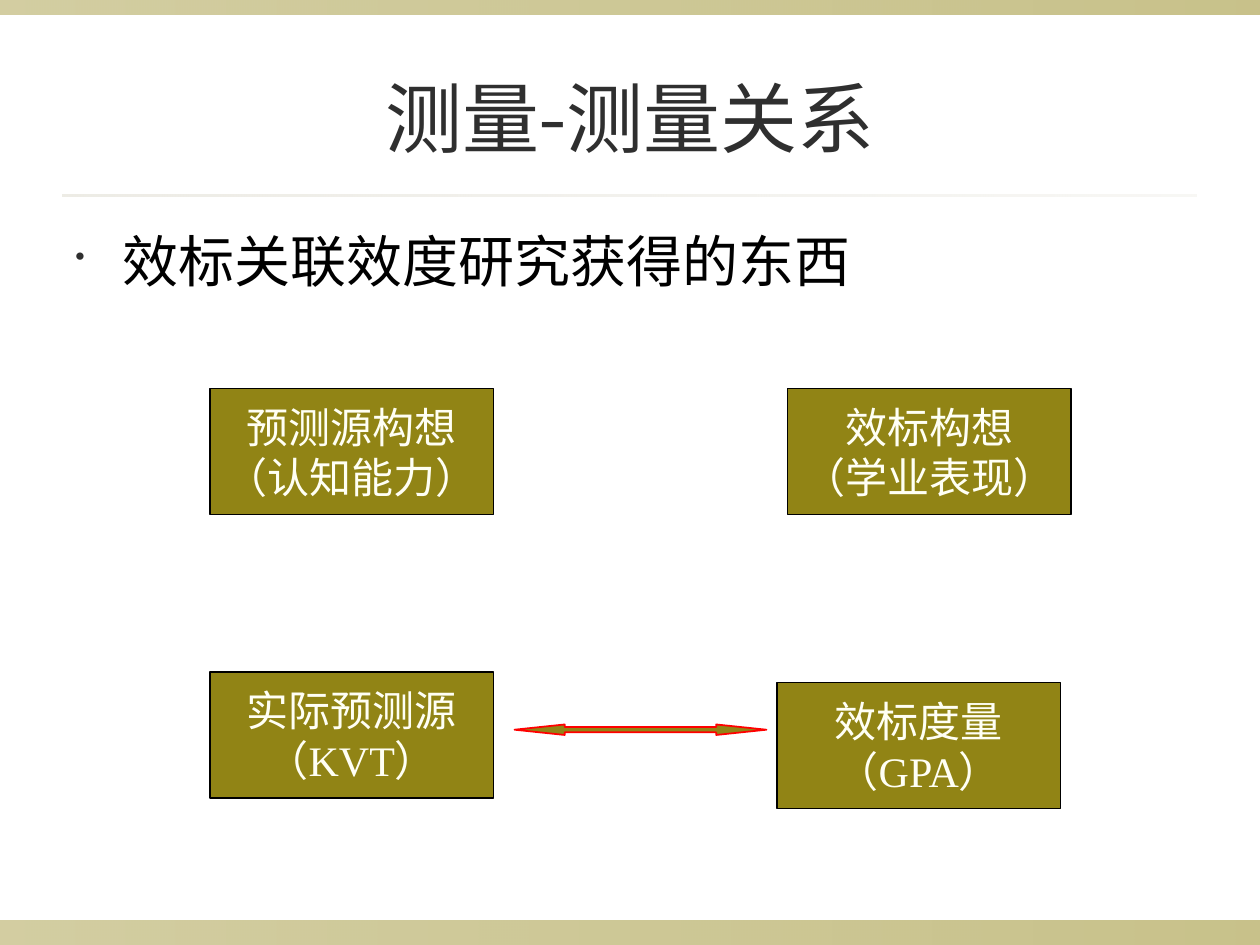
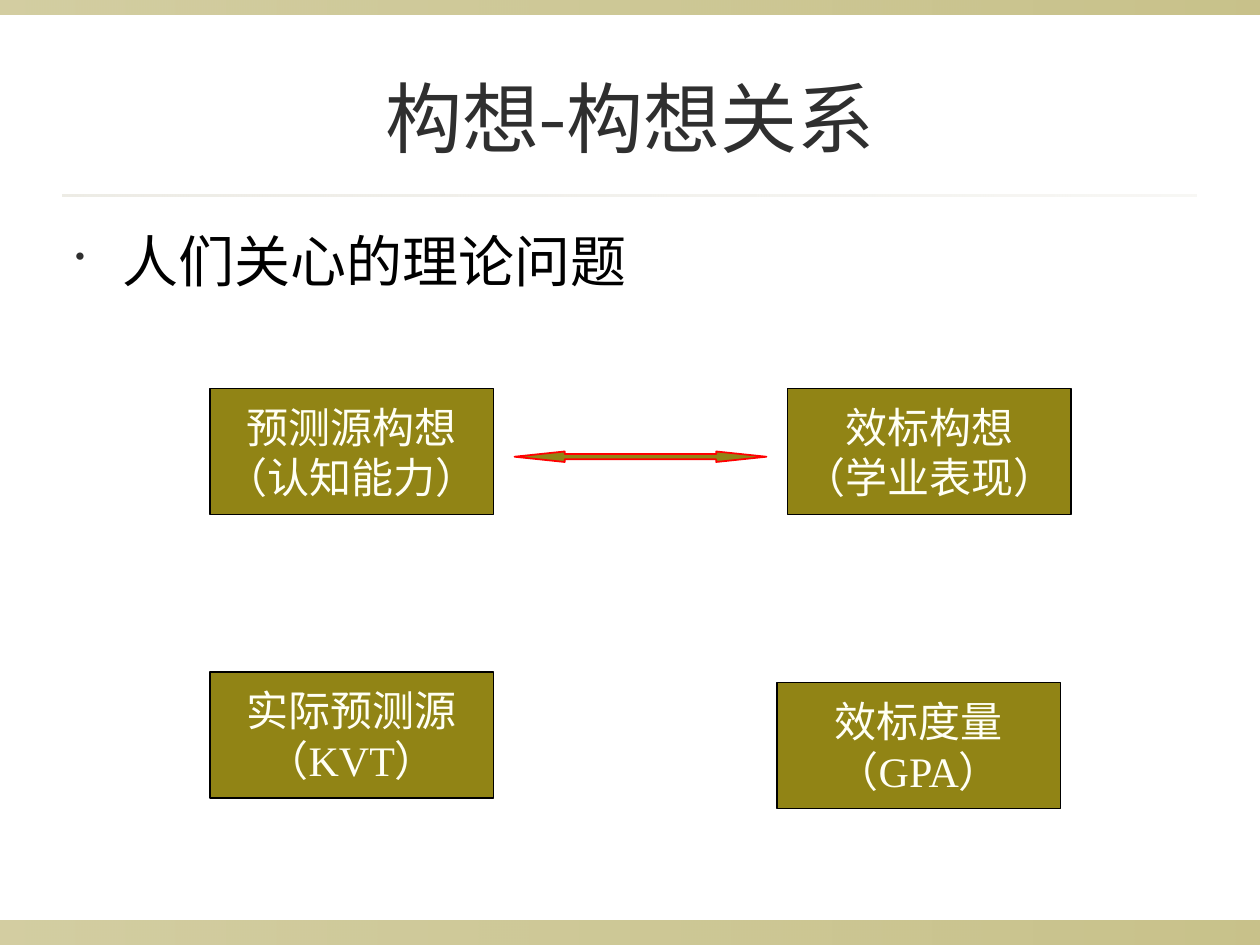
"""Builds two slides on the relations between constructs and their measures."""
from typing import NamedTuple

import pptx
import pptx.dml.color
import pptx.enum.shapes
import pptx.enum.text
import pptx.oxml
import pptx.oxml.ns
import pptx.util

Pt = pptx.util.Pt
RECTANGLE = pptx.enum.shapes.MSO_SHAPE.RECTANGLE
DOUBLE_ARROW = pptx.enum.shapes.MSO_SHAPE.LEFT_RIGHT_ARROW
MIDDLE = pptx.enum.text.MSO_ANCHOR.MIDDLE
CENTER = pptx.enum.text.PP_ALIGN.CENTER

OLIVE, SAND, INK = "918415", "DCD9CC", "2F2F2F"
BLACK, RED, IVORY = "000000", "FF0000", "FFFFF4"
HEADING_FONT, BOX_FONT = "Karla", "Times New Roman"
BOX_WIDTH, BOX_HEIGHT = 162, 72
ARROW_LEFT, ARROW_WIDTH, ARROW_HEIGHT, ARROW_HEAD = 294, 144, 6, 4.78


class Area(NamedTuple):
    left: float
    top: float
    width: float
    height: float


class Band(NamedTuple):
    area: Area
    color: str
    start_alpha: int
    end_alpha: int


class Concept(NamedTuple):
    left: float
    top: float
    name: str
    example: str


class Relation(NamedTuple):
    title: str
    point: str
    arrow_top: float


BANDS = (
    Band(Area(0, 525.8, 720, 14.2), OLIVE, 40, 50),
    Band(Area(0, 0, 720, 8.6), OLIVE, 40, 50),
    Band(Area(36, 110.9, 648, 1.4), SAND, 50, 20),
)
TITLE_AREA = Area(36, 21.6, 648, 90)
POINT_AREA = Area(36, 126, 648, 369)
CONCEPTS = (
    Concept(120, 222, "预测源构想", "（认知能力）"),
    Concept(120, 384, "实际预测源", "（KVT）"),
    Concept(444, 390, "效标度量", "（GPA）"),
    Concept(450, 222, "效标构想", "（学业表现）"),
)
RELATIONS = (
    Relation("测量-测量关系", "效标关联效度研究获得的东西", 414),
    Relation("构想-构想关系", "人们关心的理论问题", 258),
)


def rgb(color: str) -> pptx.dml.color.RGBColor:
    """Turn a hex string into a colour."""
    return pptx.dml.color.RGBColor.from_string(color)


def place(area: Area) -> list:
    """Give the lengths of an area in points."""
    return [Pt(length) for length in area]


def set_font(paragraph, name: str, size: float, color: str) -> None:
    """Set the font of a whole paragraph."""
    paragraph.font.name = name
    paragraph.font.size = Pt(size)
    paragraph.font.color.rgb = rgb(color)


def add_bullet(paragraph, color: str, indent: float) -> None:
    """Give a paragraph a half-size bullet with a hanging indent."""
    properties = paragraph._p.get_or_add_pPr()
    properties.set("marL", str(Pt(indent)))
    properties.set("indent", str(-Pt(indent)))
    namespace = pptx.oxml.ns.nsdecls("a")
    for markup in (
        f'<a:buClr {namespace}><a:srgbClr val="{color}"/></a:buClr>',
        f'<a:buSzPct {namespace} val="50000"/>',
        f'<a:buChar {namespace} char="•"/>',
    ):
        properties.append(pptx.oxml.parse_xml(markup))


def add_band(slide, band: Band) -> None:
    """Draw a translucent horizontal gradient band."""
    shape = slide.shapes.add_shape(RECTANGLE, *place(band.area))
    shape.shadow.inherit = False
    shape.line.fill.background()
    shape.fill.gradient()
    shape.fill.gradient_angle = 0
    for stop in shape.fill.gradient_stops:
        stop.color.rgb = rgb(band.color)
    colors = shape._element.spPr.iter(pptx.oxml.ns.qn("a:srgbClr"))
    for color, alpha in zip(colors, (band.start_alpha, band.end_alpha)):
        color.append(pptx.oxml.parse_xml(
            f'<a:alpha {pptx.oxml.ns.nsdecls("a")} val="{alpha * 1000}"/>'))


def add_text(slide, area: Area, text: str):
    """Add a wrapping text box and return its frame."""
    frame = slide.shapes.add_textbox(*place(area)).text_frame
    frame.word_wrap = True
    frame.text = text
    return frame


def add_outlined(slide, kind, area: Area, outline: str):
    """Draw an olive shape with a thin outline."""
    shape = slide.shapes.add_shape(kind, *place(area))
    shape.shadow.inherit = False
    shape.fill.solid()
    shape.fill.fore_color.rgb = rgb(OLIVE)
    shape.line.color.rgb = rgb(outline)
    shape.line.width = Pt(1)
    return shape


def add_concept(slide, concept: Concept) -> None:
    """Draw a concept box with its name and example."""
    area = Area(concept.left, concept.top, BOX_WIDTH, BOX_HEIGHT)
    frame = add_outlined(slide, RECTANGLE, area, BLACK).text_frame
    frame.word_wrap = False
    frame.vertical_anchor = MIDDLE
    frame.text = f"{concept.name}\n{concept.example}"
    for paragraph in frame.paragraphs:
        paragraph.alignment = CENTER
        set_font(paragraph, BOX_FONT, 24, IVORY)


def add_relation(presentation, relation: Relation) -> None:
    """Build the slide of one relation."""
    slide = presentation.slides.add_slide(presentation.slide_layouts[6])
    for band in BANDS:
        add_band(slide, band)

    title = add_text(slide, TITLE_AREA, relation.title)
    title.vertical_anchor = MIDDLE
    title.paragraphs[0].alignment = CENTER
    set_font(title.paragraphs[0], HEADING_FONT, 44, INK)

    point = add_text(slide, POINT_AREA, relation.point).paragraphs[0]
    add_bullet(point, INK, 27)
    set_font(point, HEADING_FONT, 32, BLACK)

    for concept in CONCEPTS:
        add_concept(slide, concept)
    arrow_area = Area(ARROW_LEFT, relation.arrow_top, ARROW_WIDTH, ARROW_HEIGHT)
    arrow = add_outlined(slide, DOUBLE_ARROW, arrow_area, RED)
    arrow.adjustments[1] = ARROW_HEAD


def main() -> None:
    """Build and save the presentation."""
    presentation = pptx.Presentation()
    presentation.slide_width, presentation.slide_height = Pt(720), Pt(540)
    for relation in RELATIONS:
        add_relation(presentation, relation)
    presentation.save("out.pptx")


if __name__ == "__main__":
    main()
